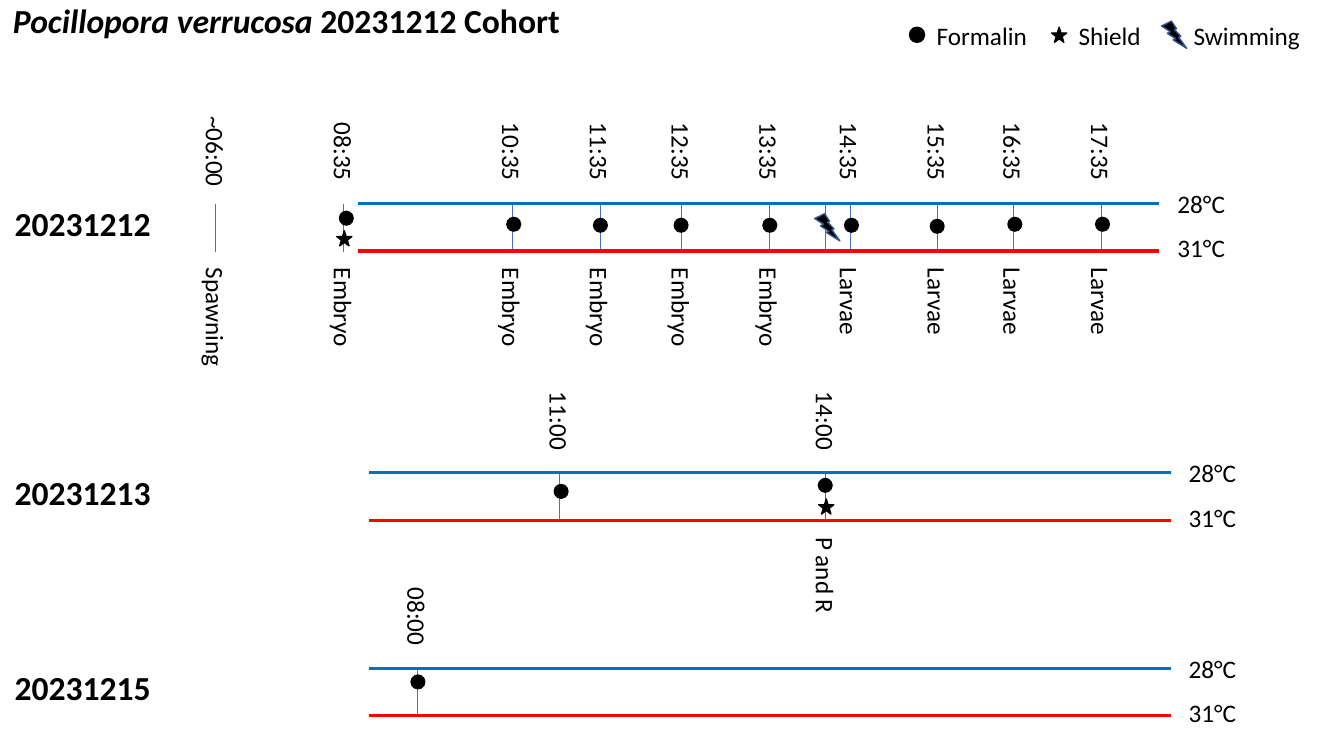
import pptx
import pptx.dml.color
import pptx.enum.shapes
import pptx.enum.text
import pptx.oxml.ns
import pptx.util
from lxml import etree

Inches = pptx.util.Inches
Pt = pptx.util.Pt
RGBColor = pptx.dml.color.RGBColor
MSO_SHAPE = pptx.enum.shapes.MSO_SHAPE
PP_ALIGN = pptx.enum.text.PP_ALIGN

BLACK = RGBColor(0x00, 0x00, 0x00)
COOL_BLUE = RGBColor(0x00, 0x70, 0xC0)
WARM_RED = RGBColor(0xFF, 0x00, 0x00)
TICK_BLUE = RGBColor(0x44, 0x72, 0xC4)
BOLT_EDGE = RGBColor(0x32, 0x54, 0x91)

TITLE = [("Pocillopora verrucosa ", True), ("20231212 Cohort", False)]

LEGEND = [
    ("Formalin", 9.19, 1.11, "formalin key", 9.02, 0.27),
    ("Shield", 10.6, 0.83, "shield", 10.43, 0.27),
    ("Swimming", 11.74, 1.27, "swimming", 11.52, 0.21),
]

# date, top of band, left of band, events as (x, time, stage, markers as (kind, left, drop))
DAYS = [
    ("20231212", 2.02, 3.55, [
        (2.14, "~06:00", "Spawning", []),
        (3.41, "08:35", "Embryo", [("formalin", 3.36, 0.07), ("shield", 3.34, 0.27)]),
        (5.08, "10:35", "Embryo", [("formalin", 5.02, 0.13)]),
        (5.95, "11:35", "Embryo", [("formalin", 5.88, 0.14)]),
        (6.76, "12:35", "Embryo", [("formalin", 6.68, 0.14)]),
        (7.63, "13:35", "Embryo", [("formalin", 7.56, 0.14)]),
        (8.19, None, None, [("swimming", 8.08, 0.1)]),
        (8.43, "14:35", "Larvae", [("formalin", 8.37, 0.14)]),
        (9.3, "15:35", "Larvae", [("formalin", 9.22, 0.15)]),
        (10.05, "16:35", "Larvae", [("formalin", 9.99, 0.13)]),
        (10.92, "17:35", "Larvae", [("formalin", 10.86, 0.13)]),
    ]),
    ("20231213", 4.69, 3.66, [
        (5.55, "11:00", None, [("formalin", 5.49, 0.11)]),
        (8.19, "14:00", "P and R", [("formalin", 8.11, 0.05), ("shield", 8.12, 0.26)]),
    ]),
    ("20231215", 6.63, 3.66, [
        (4.14, "08:00", None, [("formalin", 4.07, 0.06)]),
    ]),
]

TEMPERATURES = [("28°C", COOL_BLUE, 0, -0.2), ("31°C", WARM_RED, 0.47, 0.24)]
TEXT_LENGTH = {"~06:00": 0.91, "Spawning": 1.19, "Embryo": 0.99, "Larvae": 0.88, "P and R": 0.97}
TIME_LENGTH = 0.78
TEXT_HEIGHT = 0.4
BAND_LENGTH = 7.95
TICK_LENGTH = 0.48
TIME_CENTRE = -0.51
STAGE_START = 0.54

MARKERS = {
    "formalin": (MSO_SHAPE.OVAL, 0.15, 0.15, None),
    "formalin key": (MSO_SHAPE.OVAL, 0.15, 0.15, BLACK),
    "shield": (MSO_SHAPE.STAR_5_POINT, 0.15, 0.15, BLACK),
    "swimming": (MSO_SHAPE.LIGHTNING_BOLT, 0.25, 0.27, BOLT_EDGE),
}

LABEL_FONT = {"name": "Calibri", "size": Pt(18)}
HEADING_FONT = {"name": "Calibri", "size": Pt(24), "bold": True}

deck = pptx.Presentation()
deck.slide_width = Inches(13.33)
deck.slide_height = Inches(7.5)
slide = deck.slides.add_slide(deck.slide_layouts[6])


def add_text(runs, left, top, width, height, font, wrap=False, align=PP_ALIGN.LEFT, rotation=0):
    box = slide.shapes.add_textbox(Inches(left), Inches(top), Inches(width), Inches(height))
    box.rotation = rotation
    frame = box.text_frame
    frame.word_wrap = wrap
    frame.auto_size = pptx.enum.text.MSO_AUTO_SIZE.SHAPE_TO_FIT_TEXT
    paragraph = frame.paragraphs[0]
    paragraph.alignment = align
    for words, italic in runs:
        run = paragraph.add_run()
        run.text = words
        for attribute, value in font.items():
            setattr(run.font, attribute, value)
        run.font.italic = italic
        run.font.color.rgb = BLACK


def add_label(words, left, top, width, **options):
    add_text([(words, False)], left, top, width, TEXT_HEIGHT, LABEL_FONT, **options)


def add_upright(words, centre_x, centre_y, length):
    add_label(words, centre_x - length / 2, centre_y - TEXT_HEIGHT / 2, length, rotation=90)


def add_line(x1, y1, x2, y2, colour, weight):
    line = slide.shapes.add_connector(
        pptx.enum.shapes.MSO_CONNECTOR.STRAIGHT, Inches(x1), Inches(y1), Inches(x2), Inches(y2))
    line.line.color.rgb = colour
    line.line.width = Pt(weight)
    etree.SubElement(line._element.spPr, pptx.oxml.ns.qn("a:effectLst"))


def add_marker(kind, left, top):
    preset, width, height, edge = MARKERS[kind]
    marker = slide.shapes.add_shape(preset, Inches(left), Inches(top), Inches(width), Inches(height))
    marker.shadow.inherit = False
    marker.fill.solid()
    marker.fill.fore_color.rgb = BLACK
    if edge is None:
        marker.line.fill.background()
    else:
        marker.line.color.rgb = edge
        marker.line.width = Pt(1)


add_text(TITLE, 0.03, -0.05, 5.85, 0.5, HEADING_FONT, wrap=True)

for words, left, width, kind, key_left, key_top in LEGEND:
    add_label(words, left, 0.15, width)
    add_marker(kind, key_left, key_top)

for date, top, band_left, events in DAYS:
    band_right = band_left + BAND_LENGTH
    add_text([(date, False)], 0.04, top - 0.06, 1.56, 0.5, HEADING_FONT, align=PP_ALIGN.CENTER)
    for x, time, stage, markers in events:
        add_line(x, top, x, top + TICK_LENGTH, TICK_BLUE, 0.5)
        if time:
            add_upright(time, x, top + TIME_CENTRE, TEXT_LENGTH.get(time, TIME_LENGTH))
        if stage:
            length = TEXT_LENGTH[stage]
            add_upright(stage, x, top + STAGE_START + length / 2, length)
    for words, colour, line_drop, label_drop in TEMPERATURES:
        add_line(band_left, top + line_drop, band_right, top + line_drop, colour, 2.25)
        add_label(words, band_right + 0.08, top + label_drop, 0.68)
    for x, time, stage, markers in events:
        for kind, left, drop in markers:
            add_marker(kind, left, top + drop)

deck.save("out.pptx")
